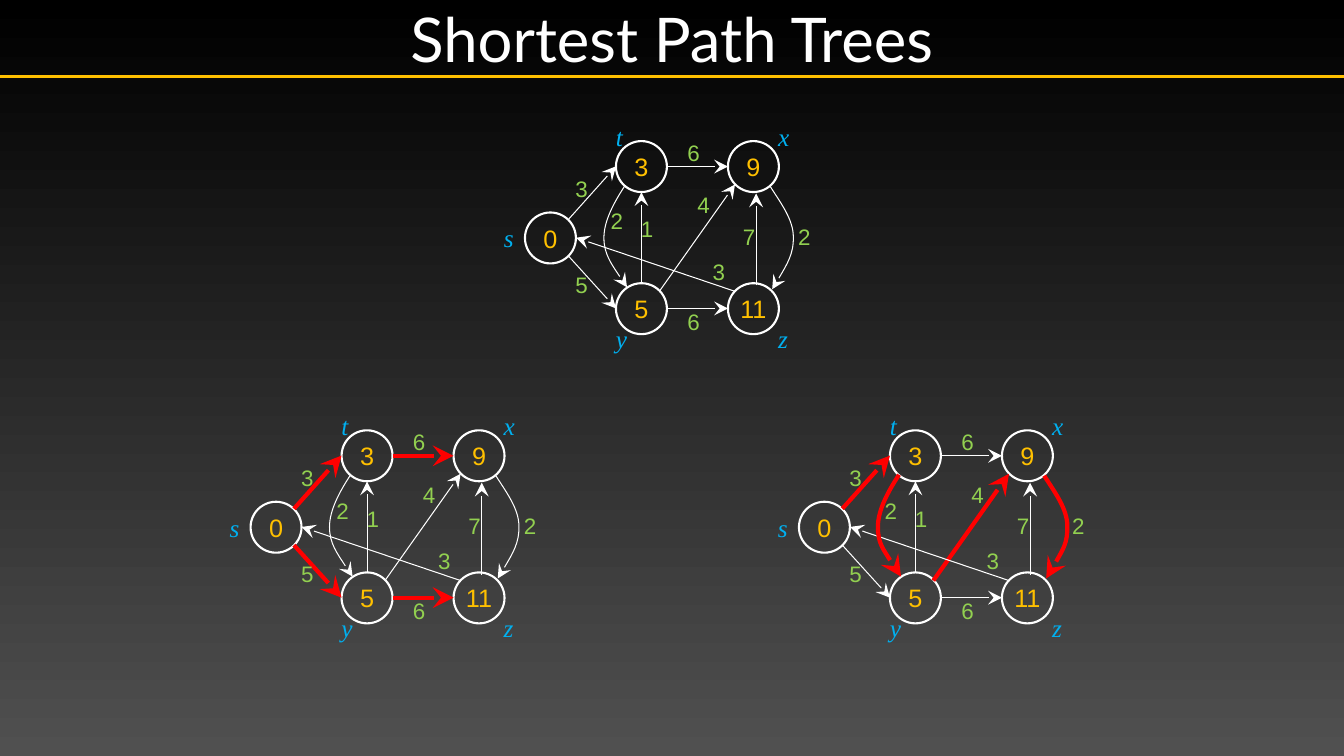
import dataclasses
import typing

import lxml.etree
import pptx
import pptx.dml.color
import pptx.enum.shapes
import pptx.enum.text
import pptx.oxml.ns
import pptx.shapes.base
import pptx.shapes.shapetree
import pptx.text.text
import pptx.util

Pt = pptx.util.Pt
Point = tuple[float, float]
Canvas = typing.Union[
    pptx.shapes.shapetree.SlideShapes, pptx.shapes.shapetree.GroupShapes
]


@dataclasses.dataclass(frozen=True)
class TextStyle:
    font: str
    size: float
    color: str
    italic: bool = False


@dataclasses.dataclass(frozen=True)
class Stroke:
    color: str
    width: float


@dataclasses.dataclass(frozen=True)
class Theme:
    top: str = "000000"
    bottom: str = "505050"
    title: TextStyle = TextStyle("Lato", 44, "FFFFFF")
    distance: TextStyle = TextStyle("Arial", 18, "FFC000")
    vertex: TextStyle = TextStyle("Times New Roman", 18, "00B0F0", True)
    weight: TextStyle = TextStyle("Arial", 16, "92D050")
    rule: Stroke = Stroke("FFC000", 2.5)
    ring: Stroke = Stroke("FFFFFF", 1.5)
    edge: Stroke = Stroke("FFFFFF", 0.75)
    tree_edge: Stroke = Stroke("FF0000", 3)


@dataclasses.dataclass(frozen=True)
class Vertex:
    name: str
    distance: str
    at: Point
    name_at: Point


@dataclasses.dataclass(frozen=True)
class Edge:
    name: str
    points: tuple[Point, ...]
    weight: str
    weight_at: Point


@dataclasses.dataclass(frozen=True)
class Graph:
    origin: Point
    tree: tuple[str, ...] = ()
    grouped: bool = True


THEME = Theme()
WIDTH, HEIGHT, TITLE_HEIGHT = 960, 540, 54.7
DIAMETER = 36.4
NAME_BOX, WEIGHT_BOX = (18, 28.8), (21.6, 26.6)

VERTICES = (
    Vertex("t", "3", (0, 0), (-7.2, -18)),
    Vertex("x", "9", (80, 0), (108.7, -18)),
    Vertex("y", "5", (0, 101.5), (-7.2, 126.7)),
    Vertex("z", "11", (80, 101.5), (108.7, 126.7)),
    Vertex("s", "0", (-65, 51), (-87.1, 54.7)),
)
EDGES = (
    Edge("st", ((-34, 56), (0, 18)), "3", (-36, 20.9)),
    Edge("tx", ((36.5, 18.2), (80, 18.2)), "6", (43.9, -5)),
    Edge("sy", ((-34, 82), (0, 119.5)), "5", (-36, 89.3)),
    Edge("yx", ((31, 107.3), (85, 31)), "4", (51.1, 32.4)),
    Edge("yz", ((36.5, 119.5), (80, 119.5)), "6", (43.9, 115.9)),
    Edge("zs", ((85, 107.3), (-28.5, 69)), "3", (61.9, 79.9)),
    Edge("ty", ((6.5, 31.7), (-1.5, 44), (-8.6, 57), (-8.6, 69),
                (-8.6, 80.6), (0, 92.9), (7.9, 104.4)), "2", (-10.8, 43.9)),
    Edge("yt", ((18.2, 101.5), (18.2, 36.5)), "1", (10.8, 49.7)),
    Edge("xz", ((110.2, 32.4), (118, 44.6), (126.7, 56.2), (126.7, 68.4),
                (127, 80.6), (119.5, 92.9), (111.6, 105.8)), "2", (123.1, 54.7)),
    Edge("zx", ((100.1, 103), (100.1, 37.4)), "7", (83.5, 54.7)),
)
GRAPHS = (
    Graph((440, 100.8), grouped=False),
    Graph((244, 307.4), ("st", "tx", "sy", "yz")),
    Graph((635.7, 307.4), ("st", "yx", "ty", "xz")),
)


def rgb(color: str) -> pptx.dml.color.RGBColor:
    return pptx.dml.color.RGBColor.from_string(color)


def shift(point: Point, origin: Point) -> tuple[int, int]:
    return Pt(point[0] + origin[0]), Pt(point[1] + origin[1])


def assign(target: object, values: dict[str, typing.Any]) -> None:
    for key, value in values.items():
        setattr(target, key, value)


def write(frame: pptx.text.text.TextFrame, text: str, style: TextStyle,
          align: pptx.enum.text.PP_ALIGN, values: dict[str, typing.Any]) -> None:
    assign(frame, {"word_wrap": True, **values})
    frame.text = text
    paragraph = frame.paragraphs[0]
    paragraph.alignment = align
    font = paragraph.runs[0].font
    assign(font, {"name": style.font, "size": Pt(style.size), "italic": style.italic})
    font.color.rgb = rgb(style.color)


def draw_stroke(shape: typing.Any, stroke: Stroke) -> None:
    shape.line.color.rgb = rgb(stroke.color)
    shape.line.width = Pt(stroke.width)


def draw_line(canvas: Canvas, start: tuple[int, int], end: tuple[int, int],
              stroke: Stroke) -> pptx.shapes.base.BaseShape:
    line = canvas.add_connector(pptx.enum.shapes.MSO_CONNECTOR.STRAIGHT, *start, *end)
    draw_stroke(line, stroke)
    lxml.etree.SubElement(line.element.spPr, pptx.oxml.ns.qn("a:effectLst"))
    return line


def draw_curve(canvas: Canvas, points: list[tuple[int, int]],
               stroke: Stroke) -> pptx.shapes.base.BaseShape:
    builder = canvas.build_freeform(*points[0], scale=1.0)
    builder.add_line_segments(points[3::3], close=False)
    curve = builder.convert_to_shape()
    for index, segment in enumerate(curve.element.xpath(".//a:lnTo")):
        bezier = lxml.etree.Element(pptx.oxml.ns.qn("a:cubicBezTo"))
        for x, y in points[3 * index + 1:3 * index + 4]:
            lxml.etree.SubElement(bezier, pptx.oxml.ns.qn("a:pt"),
                                  x=str(x - curve.left), y=str(y - curve.top))
        segment.getparent().replace(segment, bezier)
    curve.shadow.inherit = False
    curve.fill.background()
    draw_stroke(curve, stroke)
    return curve


def draw_edge(canvas: Canvas, edge: Edge, graph: Graph) -> None:
    stroke = THEME.tree_edge if edge.name in graph.tree else THEME.edge
    points = [shift(point, graph.origin) for point in edge.points]
    if len(points) == 2:
        arrow = draw_line(canvas, *points, stroke)
    else:
        arrow = draw_curve(canvas, points, stroke)
    outline = arrow.element.spPr.find(pptx.oxml.ns.qn("a:ln"))
    lxml.etree.SubElement(outline, pptx.oxml.ns.qn("a:tailEnd"),
                          type="stealth", w="lg", len="lg")


def draw_vertex(canvas: Canvas, vertex: Vertex, origin: Point) -> None:
    ring = canvas.add_shape(pptx.enum.shapes.MSO_SHAPE.OVAL, *shift(vertex.at, origin),
                            Pt(DIAMETER), Pt(DIAMETER))
    ring.shadow.inherit = False
    ring.fill.background()
    draw_stroke(ring, THEME.ring)
    write(ring.text_frame, vertex.distance, THEME.distance, pptx.enum.text.PP_ALIGN.CENTER,
          {"margin_left": 0, "margin_right": 0,
           "vertical_anchor": pptx.enum.text.MSO_ANCHOR.MIDDLE})


def draw_label(canvas: Canvas, text: str, at: tuple[int, int], size: Point,
               style: TextStyle) -> None:
    label = canvas.add_textbox(*at, Pt(size[0]), Pt(size[1]))
    write(label.text_frame, text, style, pptx.enum.text.PP_ALIGN.LEFT,
          {"auto_size": pptx.enum.text.MSO_AUTO_SIZE.SHAPE_TO_FIT_TEXT})


def draw_graph(shapes: pptx.shapes.shapetree.SlideShapes, graph: Graph) -> None:
    canvas = shapes.add_group_shape().shapes if graph.grouped else shapes
    for vertex in VERTICES:
        draw_vertex(canvas, vertex, graph.origin)
    for edge in EDGES:
        draw_edge(canvas, edge, graph)
    for vertex in VERTICES:
        draw_label(canvas, vertex.name, shift(vertex.name_at, graph.origin),
                   NAME_BOX, THEME.vertex)
    for edge in EDGES:
        draw_label(canvas, edge.weight, shift(edge.weight_at, graph.origin),
                   WEIGHT_BOX, THEME.weight)


def main() -> None:
    deck = pptx.Presentation()
    assign(deck, {"slide_width": Pt(WIDTH), "slide_height": Pt(HEIGHT)})
    slide = deck.slides.add_slide(deck.slide_layouts[5])
    backdrop = slide.background.fill
    backdrop.gradient()
    backdrop.gradient_angle = 270
    for stop, color in zip(backdrop.gradient_stops, (THEME.top, THEME.bottom)):
        stop.color.rgb = rgb(color)

    title = slide.shapes.title
    assign(title, {"left": 0, "top": 0, "width": Pt(WIDTH), "height": Pt(TITLE_HEIGHT)})
    margins = {f"margin_{side}": Pt(3.6) for side in ("left", "top", "right", "bottom")}
    write(title.text_frame, "Shortest Path Trees", THEME.title,
          pptx.enum.text.PP_ALIGN.CENTER,
          {"vertical_anchor": pptx.enum.text.MSO_ANCHOR.MIDDLE,
           "auto_size": pptx.enum.text.MSO_AUTO_SIZE.NONE, **margins})
    draw_line(slide.shapes, (0, Pt(TITLE_HEIGHT)), (Pt(WIDTH), Pt(TITLE_HEIGHT)), THEME.rule)
    for graph in GRAPHS:
        draw_graph(slide.shapes, graph)
    deck.save("out.pptx")


if __name__ == "__main__":
    main()
